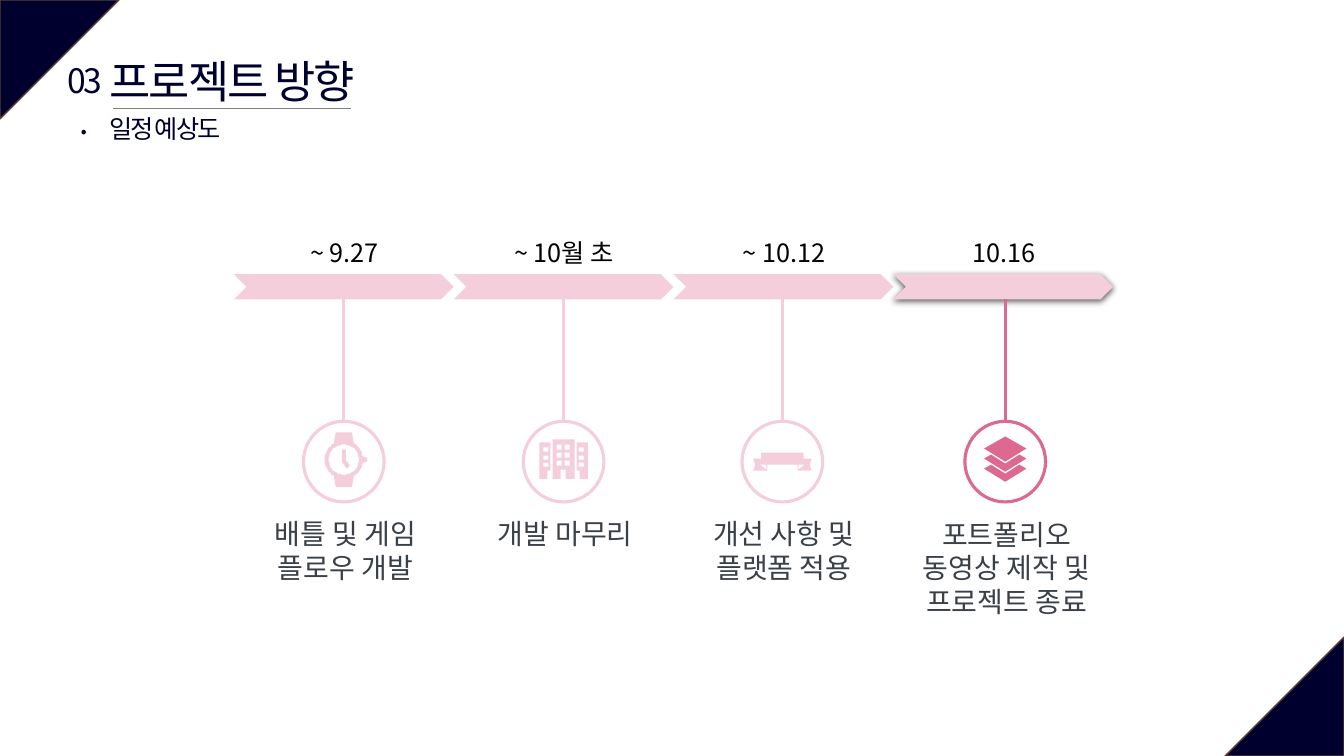
import math

import lxml.etree
import pptx
import pptx.dml.color
import pptx.enum.shapes
import pptx.enum.text
import pptx.oxml
import pptx.oxml.ns
import pptx.util

SHAPE = pptx.enum.shapes.MSO_SHAPE
RGB = pptx.dml.color.RGBColor
NAVY = RGB(0x00, 0x00, 0x2F)
BROWN = RGB(0x5B, 0x3F, 0x33)
PALE = RGB(0xF4, 0xCE, 0xDB)
ROSE = RGB(0xDD, 0x69, 0x90)
SLATE = RGB(0x3A, 0x40, 0x47)
BLACK = RGB(0, 0, 0)
GRAY = RGB(0x80, 0x80, 0x80)
FONT = "Noto Sans CJK KR"
PX = 9144

TITLE = "프로젝트 방향"
NUMBER = "03."
SUBTITLE = "일정 예상도"
MILESTONES = [
    ("~ 9.27", "배틀 및 게임 플로우 개발", 341, 77, PALE, "watch"),
    ("~ 10월 초", "개발 마무리", 559, 44, PALE, "buildings"),
    ("~ 10.12", "개선 사항 및 플랫폼 적용", 776, 77, PALE, "ribbon"),
    ("10.16", "포트폴리오 동영상 제작 및 프로젝트 종료", 997, 145, ROSE, "layers"),
]
CORNERS = [(0, 0, 90), (1215, 632, 270)]

ARROW_LEFT, ARROW_TOP, ARROW_WIDTH, ARROW_HEIGHT = 232, 272, 218, 25
CIRCLE_TOP, CIRCLE_SIZE = 418, 80


def arc(radius, start, stop, steps):
    angles = [math.radians(start + (stop - start) * i / steps) for i in range(steps + 1)]
    return [(radius * math.cos(a), radius * math.sin(a) - 2) for a in angles]


def pane(left, top, width, height):
    return [(left, top), (left + width, top), (left + width, top + height), (left, top + height)]


def mirror(outline):
    return [(-x, y) for x, y in outline]


def lower(outline, drop):
    return [(x, y + drop) for x, y in outline]


watch_case = (
    [(-8, -29), (8, -29)] + arc(19, -58, -8, 8) + [(23, -4), (23, 0)]
    + arc(19, 8, 58, 8) + [(8, 25), (-8, 25)] + arc(19, 122, 238, 18)
)
watch_hands = [(-2, -12), (2, -12), (2, -2), (6, 4), (3, 7), (-2, 0)]
tower = [(-11, -22), (11, -22), (11, 17), (2, 17), (2, 8), (-3, 8), (-3, 17), (-11, 17)]
tower_windows = [pane(x, y, 5, 5) for x in (-7, 1) for y in (-17, -9, -1)]
wing = [[(13, -19), (24, -19), (24, 17), (16, 17), (16, 9), (13, 9)]]
wing += [pane(15, y, 5, 4) for y in (-14, -6, 1)]
ribbon_half = [(21, -9), (21, -3), (29, -3), (27, 3), (29, 9), (15, 9), (15, 3)]
ribbon_fold = [(16, 3), (16, 8), (22, 3)]
sheet = [(-14, -7), (0, 2), (14, -7), (21, -3), (0, 10), (-21, -3)]

ICONS = {
    "watch": [[watch_case, arc(15, 0, 360, 48)], [watch_hands]],
    "buildings": [[tower] + tower_windows, wing, [mirror(part) for part in wing]],
    "ribbon": [[ribbon_half + mirror(ribbon_half)[::-1], ribbon_fold, mirror(ribbon_fold)]],
    "layers": [[[(0, -25), (21, -13), (0, 0), (-21, -13)]], [sheet], [lower(sheet, 10)]],
}


def place(left, top, width, height):
    return [round(v * PX) for v in (left, top, width, height)]


def paint(shape, fill=None, line=None, weight=1):
    shape.shadow.inherit = False
    if fill is None:
        shape.fill.background()
    else:
        shape.fill.solid()
        shape.fill.fore_color.rgb = fill
    if line is None:
        shape.line.fill.background()
    else:
        shape.line.color.rgb = line
        shape.line.width = pptx.util.Pt(weight)


def write(box, text, size, color, spacing=None, wrap=True):
    frame = box.text_frame
    frame.word_wrap = wrap
    frame.auto_size = pptx.enum.text.MSO_AUTO_SIZE.NONE
    frame.vertical_anchor = pptx.enum.text.MSO_ANCHOR.TOP
    para = frame.paragraphs[0]
    para.alignment = pptx.enum.text.PP_ALIGN.CENTER
    para.font.size = pptx.util.Pt(size)
    para.font.name = FONT
    para.font.color.rgb = color
    span = para.add_run()
    span.text = text
    props = span._r.get_or_add_rPr()
    if spacing is not None:
        props.set("spc", str(spacing))
    lxml.etree.SubElement(props, pptx.oxml.ns.qn("a:ea")).set("typeface", FONT)


def add_text(page, area, *style, **options):
    write(page.shapes.add_textbox(*place(*area)), *style, **options)


def add_line(page, start, end, color, weight):
    ends = [v * PX for v in start + end]
    line = page.shapes.add_connector(pptx.enum.shapes.MSO_CONNECTOR.STRAIGHT, *ends)
    line.line.color.rgb = color
    line.line.width = pptx.util.Pt(weight)
    lxml.etree.SubElement(line._element.spPr, pptx.oxml.ns.qn("a:effectLst"))
    return line


def add_icon(page, name, center_x, center_y, color):
    for outlines in ICONS[name]:
        builder = None
        for outline in outlines:
            points = [(center_x + x, center_y + y) for x, y in outline]
            if builder is None:
                builder = page.shapes.build_freeform(*points[0], scale=PX)
            else:
                builder.move_to(*points[0])
            builder.add_line_segments(points[1:], close=True)
        paint(builder.convert_to_shape(), color)


def add_shadow(shape):
    effects = shape._element.spPr.find(pptx.oxml.ns.qn("a:effectLst"))
    effects.append(pptx.oxml.parse_xml(
        f'<a:outerShdw {pptx.oxml.ns.nsdecls("a")} blurRad="57150" dist="19050" dir="5400000" '
        'algn="ctr" rotWithShape="0"><a:srgbClr val="000000"><a:alpha val="63000"/>'
        '</a:srgbClr></a:outerShdw>'
    ))


def add_milestone(page, index, milestone):
    date, task, center, task_height, color, icon = milestone
    left = ARROW_LEFT + index * ARROW_WIDTH
    arrow = page.shapes.add_shape(
        SHAPE.CHEVRON, *place(left, ARROW_TOP, ARROW_WIDTH, ARROW_HEIGHT))
    paint(arrow, PALE)
    if index == len(MILESTONES) - 1:
        add_shadow(arrow)
    add_text(page, (left + 35, 231, 149, 40), date, 18, BLACK)
    circle = page.shapes.add_shape(
        SHAPE.OVAL, *place(center - CIRCLE_SIZE // 2, CIRCLE_TOP, CIRCLE_SIZE, CIRCLE_SIZE))
    paint(circle, line=color, weight=2.25)
    stem = add_line(
        page, (center, ARROW_TOP + ARROW_HEIGHT), (center, CIRCLE_TOP), color, 2.25)
    stem.end_connect(circle, 0)
    add_icon(page, icon, center, CIRCLE_TOP + CIRCLE_SIZE // 2, color)
    add_text(page, (center - 94, 508, 191, task_height), task, 20, SLATE)


def main():
    deck = pptx.Presentation()
    deck.slide_width, deck.slide_height = 1333 * PX, 750 * PX
    page = deck.slides.add_slide(deck.slide_layouts[5])
    for left, top, turn in CORNERS:
        corner = page.shapes.add_shape(SHAPE.ISOSCELES_TRIANGLE, *place(left, top, 118, 118))
        corner.adjustments[0] = 0
        corner.rotation = turn
        paint(corner, NAVY, BROWN)
    for index, milestone in enumerate(MILESTONES):
        add_milestone(page, index, milestone)
    title = page.shapes.title
    title.left, title.top, title.width, title.height = place(85, 48, 291, 64)
    write(title, TITLE, 32, NAVY, spacing=-150, wrap=False)
    add_text(page, (54, 55, 58, 50), NUMBER, 24, NAVY, spacing=-150)
    add_text(page, (92, 108, 143, 40), SUBTITLE, 18, NAVY, spacing=-150, wrap=False)
    add_line(page, (112, 108), (348, 108), GRAY, 0.5)
    deck.save("out.pptx")


if __name__ == "__main__":
    main()
